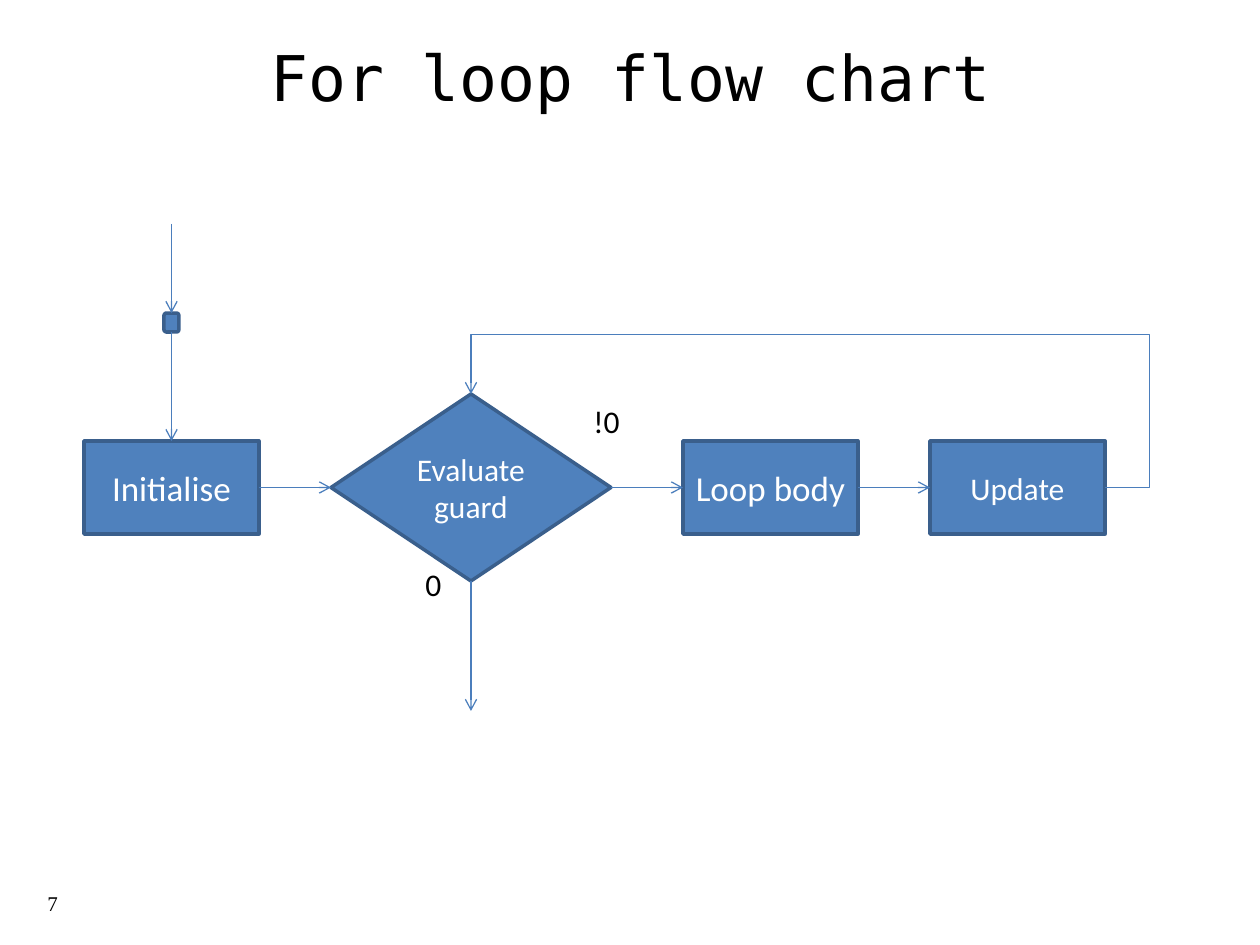
from lxml import etree
from pptx import Presentation, util as u
from pptx.dml import color
from pptx.enum import shapes, text
from pptx.oxml import ns

SCALE = 914400 / 126
FILL, OUTLINE, ARROW = "4F81BD", "3A5F8C", "4B7EBC"
BLACK, WHITE = "000000", "FFFFFF"
TOP, LEFT, BOTTOM, RIGHT = range(4)
MIDDLE = text.MSO_ANCHOR.MIDDLE
CENTER = text.PP_ALIGN.CENTER


def px(*lengths):
    return [u.Emu(round(length * SCALE)) for length in lengths]


def rgb(value):
    return color.RGBColor.from_string(value)


def apply(target, formats):
    for name, value in formats.items():
        setattr(target, name, value)


def write(shape, words, size, font="Calibri", ink=BLACK, align=None, anchor=text.MSO_ANCHOR.TOP):
    frame = shape.text_frame
    apply(frame, {"word_wrap": True, "vertical_anchor": anchor})
    para = frame.paragraphs[0]
    para.alignment = align
    span = para.add_run()
    span.text = words
    apply(span.font, {"name": font, "size": u.Pt(size)})
    span.font.color.rgb = rgb(ink)


def add_label(page, area, words, size, **formats):
    write(page.shapes.add_textbox(*px(*area)), words, size, **formats)


def add_node(page, kind, area, words=None, size=18):
    box = page.shapes.add_shape(kind, *px(*area))
    box.shadow.inherit = False
    box.fill.solid()
    box.fill.fore_color.rgb = rgb(FILL)
    box.line.color.rgb = rgb(OUTLINE)
    box.line.width = u.Pt(2)
    if words:
        apply(box.text_frame, dict.fromkeys(("margin_left", "margin_right"), px(11)[0]))
        write(box, words, size, ink=WHITE, align=CENTER, anchor=MIDDLE)
    return box


def add_arrow(page, start=None, end=None, points=(0, 0, 0, 0), kind=shapes.MSO_CONNECTOR.STRAIGHT):
    arrow = page.shapes.add_connector(kind, *px(*points))
    if start:
        arrow.begin_connect(*start)
    if end:
        arrow.end_connect(*end)
    arrow.line.color.rgb = rgb(ARROW)
    arrow.line.width = u.Pt(0.75)
    etree.SubElement(arrow.line._get_or_add_ln(), ns.qn("a:tailEnd"), type="arrow")
    etree.SubElement(arrow._element.spPr, ns.qn("a:effectLst"))
    return arrow


def add_return_arrow(page, start, end):
    arrow = add_arrow(page, start, end, kind=shapes.MSO_CONNECTOR.ELBOW)
    geometry = arrow._element.spPr.find(ns.qn("a:prstGeom"))
    geometry.set("prst", "bentConnector4")
    guides = geometry.find(ns.qn("a:avLst"))
    for name, value in (("adj1", -7000), ("adj2", 163500)):
        etree.SubElement(guides, ns.qn("a:gd"), name=name, fmla=f"val {value}")


def add_steps(page):
    rect, decision = shapes.MSO_SHAPE.RECTANGLE, shapes.MSO_SHAPE.FLOWCHART_DECISION
    steps = [
        (rect, 175, 93, "Initialise", 20),
        (decision, 280, 187, "Evaluate guard", 18),
        (rect, 175, 93, "Loop body", 20),
        (rect, 175, 93, "Update", 18),
    ]
    left, gap, axis = 84, 72, 487.5
    boxes = []
    for kind, width, height, words, size in steps:
        area = (left, axis - height / 2, width, height)
        boxes.append(add_node(page, kind, area, words, size))
        left += width + gap
    for before, after in zip(boxes, boxes[1:]):
        add_arrow(page, (before, RIGHT), (after, LEFT))
    return boxes


def main():
    deck = Presentation()
    deck.slide_width, deck.slide_height = px(1260, 945)
    page = deck.slides.add_slide(deck.slide_layouts[6])

    add_label(page, (35, 8, 1191, 137), "For loop flow chart", 36,
              font="DejaVu Sans Mono", align=CENTER, anchor=MIDDLE)
    add_label(page, (35, 878, 922, 50), "7", 12, font="Times New Roman", anchor=MIDDLE)

    initialise, guard, _, update = add_steps(page)
    entry = add_node(page, shapes.MSO_SHAPE.FLOWCHART_ALTERNATE_PROCESS, (164, 313, 15, 19))
    add_arrow(page, end=(entry, TOP), points=(171.5, 224, 171.5, 313))
    add_arrow(page, (entry, BOTTOM), (initialise, TOP))
    add_arrow(page, start=(guard, BOTTOM), points=(471, 581, 471, 711))
    add_return_arrow(page, (update, RIGHT), (guard, TOP))

    add_label(page, (581, 396, 86, 96), "!0", 18)
    add_label(page, (413, 559, 59, 96), "0", 18)
    deck.save("out.pptx")


if __name__ == "__main__":
    main()
